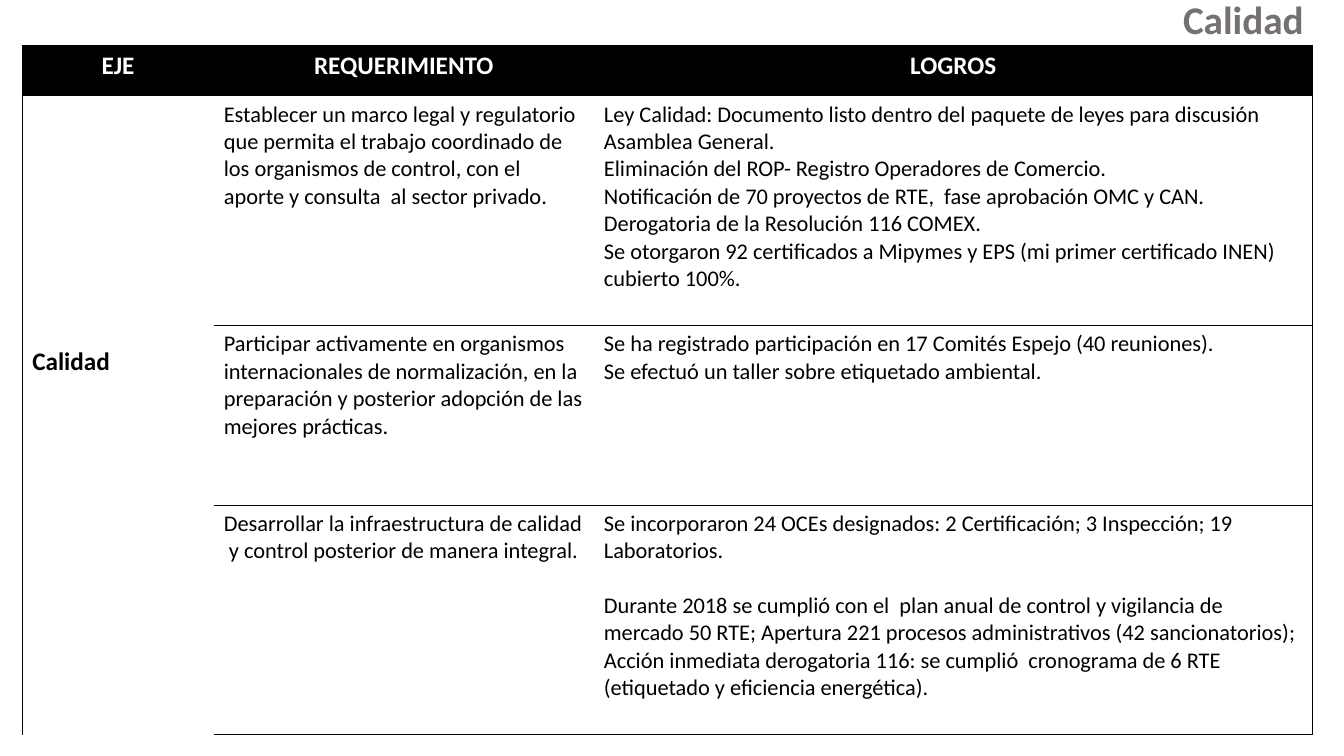
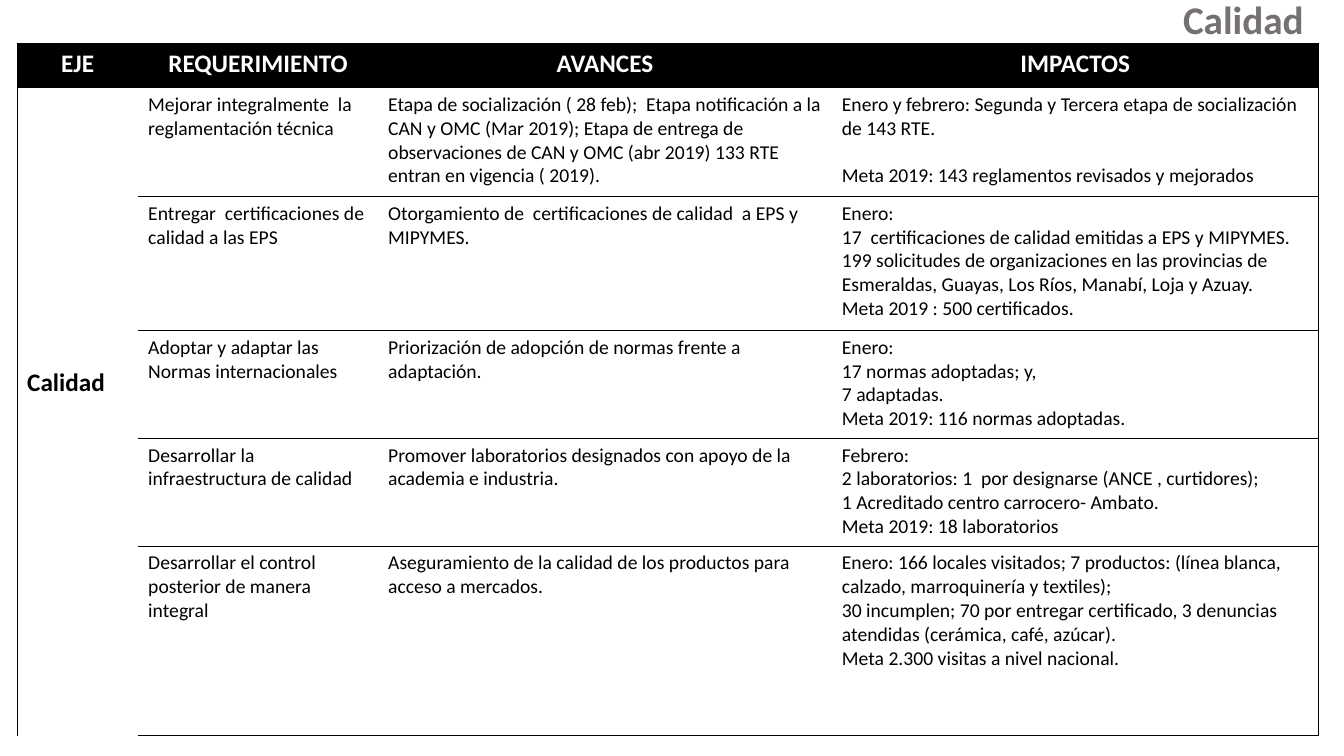
import pptx
import pptx.util
import pptx.dml.color
import pptx.enum.text
import pptx.oxml
import pptx.oxml.ns

Inches, Pt = pptx.util.Inches, pptx.util.Pt
ALIGN = pptx.enum.text.PP_ALIGN
ANCHOR = pptx.enum.text.MSO_ANCHOR

# Shared look
FONT = "Calibri"
BLACK, WHITE, GREY = "000000", "FFFFFF", "767171"
HEAD_SIZE, TITLE_SIZE = 18, 28
RULE = 0.5   # points
LEAD = 1.22  # line height in relation to the font size


def color(code):
    return pptx.dml.color.RGBColor.from_string(code)


def write(frame, text, size=16, ink=BLACK, bold=False, align=ALIGN.LEFT):
    """One paragraph per line; an empty line becomes space before the next."""
    frame.word_wrap = True
    gap, first = 0, True
    for line in text.split("\n"):
        if not line:
            gap = size * LEAD
            continue
        para = frame.paragraphs[0] if first else frame.add_paragraph()
        para.alignment = align
        if gap:
            para.space_before = Pt(gap)
        run = para.add_run()
        run.text = line
        font = run.font
        font.name, font.size, font.bold = FONT, Pt(size), bold
        font.color.rgb = color(ink)
        gap, first = 0, False


def border(cell, sides):
    """Draw the listed sides (of L, R, T, B) and clear the others."""
    props = cell._tc.get_or_add_tcPr()
    for spot, side in enumerate("LRTB"):
        fill = (f'<a:solidFill><a:srgbClr val="{BLACK}"/></a:solidFill>'
                if side in sides else "<a:noFill/>")
        props.insert(spot, pptx.oxml.parse_xml(
            f'<a:ln{side} {pptx.oxml.ns.nsdecls("a")} w="{Pt(RULE)}">'
            f"{fill}</a:ln{side}>"))


def title(slide, text):
    box = slide.shapes.add_textbox(
        Inches(8), Inches(-0.1), Inches(5.33), Inches(0.57))
    box.text_frame.margin_right = Inches(0.4)
    write(box.text_frame, text, size=TITLE_SIZE, ink=GREY, bold=True,
          align=ALIGN.RIGHT)


def grid(slide, left, top, cols, rows, heads, axis, body, size, lift):
    """Table with a black head, a merged axis column and ruled rows.

    lift raises the axis label above the middle of its cell.
    """
    table = slide.shapes.add_table(
        len(rows), len(cols), Inches(left), Inches(top),
        Inches(sum(cols)), Inches(sum(rows))).table
    table.first_row = table.horz_banding = False
    for col, width in zip(table.columns, cols):
        col.width = Inches(width)
    for row, height in zip(table.rows, rows):
        row.height = Inches(height)

    # Fills and rules
    end = len(cols) - 1
    for r in range(len(rows)):
        for c in range(len(cols)):
            cell = table.cell(r, c)
            if r == 0:
                cell.fill.solid()
                cell.fill.fore_color.rgb = color(BLACK)
            else:
                cell.fill.background()
            sides = ("L" if c == 0 else "") + ("R" if c == end else "")
            if r == 0 or (c > 0 and r > 1):
                sides += "T"
            if r == len(rows) - 1 or (c > 0 and r > 0):
                sides += "B"
            border(cell, sides)

    # Text
    for c, head in enumerate(heads):
        write(table.cell(0, c).text_frame, head, size=HEAD_SIZE, ink=WHITE,
              bold=True, align=ALIGN.CENTER)
    label = table.cell(1, 0)
    label.merge(table.cell(len(rows) - 1, 0))
    label.vertical_anchor = ANCHOR.MIDDLE
    label.margin_bottom = Inches(0.05 + 2 * lift)
    write(label.text_frame, axis, size=HEAD_SIZE, bold=True)
    for r, texts in enumerate(body, 1):
        for c, text in enumerate(texts, 1):
            write(table.cell(r, c).text_frame, text, size=size)


# Content
DONE = [
    ("Establecer un marco legal y regulatorio que permita el trabajo "
     "coordinado de los organismos de control, con el aporte y consulta  al "
     "sector privado.",
     "Ley Calidad: Documento listo dentro del paquete de leyes para "
     "discusión Asamblea General.\n"
     "Eliminación del ROP- Registro Operadores de Comercio.\n"
     "Notificación de 70 proyectos de RTE,  fase aprobación OMC y CAN.\n"
     "Derogatoria de la Resolución 116 COMEX.\n"
     "Se otorgaron 92 certificados a Mipymes y EPS (mi primer certificado "
     "INEN) cubierto 100%."),
    ("Participar activamente en organismos internacionales de "
     "normalización, en la preparación y posterior adopción de las mejores "
     "prácticas.",
     "Se ha registrado participación en 17 Comités Espejo (40 reuniones).\n"
     "Se efectuó un taller sobre etiquetado ambiental."),
    ("Desarrollar la infraestructura de calidad  y control posterior de "
     "manera integral.",
     "Se incorporaron 24 OCEs designados: 2 Certificación; 3 Inspección; 19 "
     "Laboratorios.\n\n"
     "Durante 2018 se cumplió con el  plan anual de control y vigilancia de "
     "mercado 50 RTE; Apertura 221 procesos administrativos (42 "
     "sancionatorios); Acción inmediata derogatoria 116: se cumplió  "
     "cronograma de 6 RTE (etiquetado y eficiencia energética)."),
]
PLAN = [
    ("Mejorar integralmente  la reglamentación técnica",
     "Etapa de socialización ( 28 feb);  Etapa notificación a la CAN y OMC "
     "(Mar 2019); Etapa de entrega de observaciones de CAN y OMC (abr 2019) "
     "133 RTE entran en vigencia ( 2019).",
     "Enero y febrero: Segunda y Tercera etapa de socialización de 143 "
     "RTE.\n\n"
     "Meta 2019: 143 reglamentos revisados y mejorados"),
    ("Entregar  certificaciones de calidad a las EPS",
     "Otorgamiento de  certificaciones de calidad  a EPS y MIPYMES.",
     "Enero:\n"
     "17  certificaciones de calidad emitidas a EPS y MIPYMES.\n"
     "199 solicitudes de organizaciones en las provincias de Esmeraldas, "
     "Guayas, Los Ríos, Manabí, Loja y Azuay.\n"
     "Meta 2019 : 500 certificados."),
    ("Adoptar y adaptar las Normas internacionales",
     "Priorización de adopción de normas frente a adaptación.",
     "Enero:\n17 normas adoptadas; y,\n7 adaptadas.\n"
     "Meta 2019: 116 normas adoptadas."),
    ("Desarrollar la infraestructura de calidad",
     "Promover laboratorios designados con apoyo de la academia e "
     "industria.",
     "Febrero:\n"
     "2 laboratorios: 1  por designarse (ANCE , curtidores);\n"
     "1 Acreditado centro carrocero- Ambato.\n"
     "Meta 2019: 18 laboratorios"),
    ("Desarrollar el control posterior de manera integral",
     "Aseguramiento de la calidad de los productos para acceso a mercados.",
     "Enero: 166 locales visitados; 7 productos: (línea blanca, calzado, "
     "marroquinería y textiles);\n"
     "30 incumplen; 70 por entregar certificado, 3 denuncias atendidas "
     "(cerámica, café, azúcar).\n"
     "Meta 2.300 visitas a nivel nacional."),
]
TABLES = [
    dict(left=0.22, top=0.45, cols=[1.9, 3.77, 7.13],
         rows=[0.5, 2.28, 1.78, 2.28],
         heads=["EJE", "REQUERIMIENTO", "LOGROS"],
         body=DONE, size=16, lift=0.53),
    dict(left=0.17, top=0.43, cols=[1.2, 2.38, 4.5, 4.83],
         rows=[0.44, 1.08, 1.33, 1.07, 1.07, 1.88],
         heads=["EJE", "REQUERIMIENTO", "AVANCES", "IMPACTOS"],
         body=PLAN, size=14, lift=0.29),
]


def main():
    deck = pptx.Presentation()
    deck.slide_width, deck.slide_height = Inches(13.33), Inches(7.5)
    for table in TABLES:
        slide = deck.slides.add_slide(deck.slide_layouts[6])
        grid(slide, axis="Calidad", **table)
        title(slide, "Calidad")
    deck.save("out.pptx")


if __name__ == "__main__":
    main()
